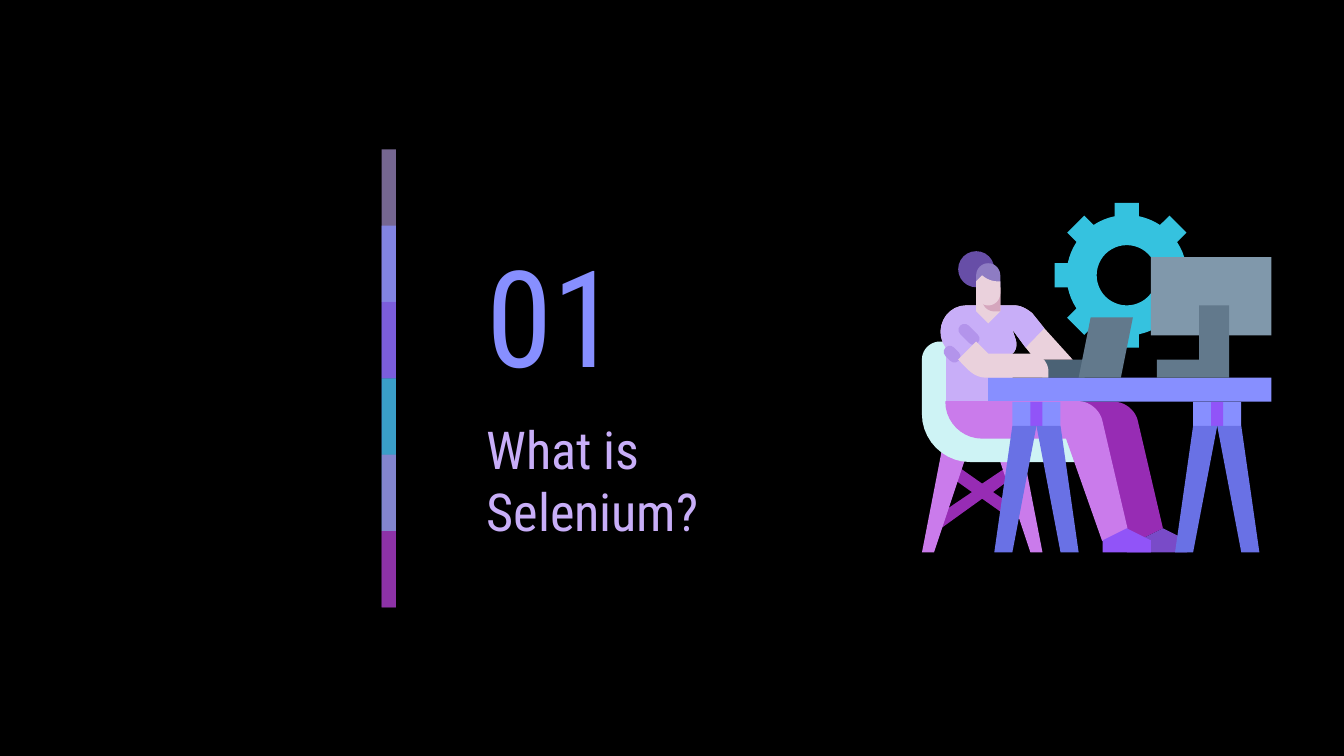
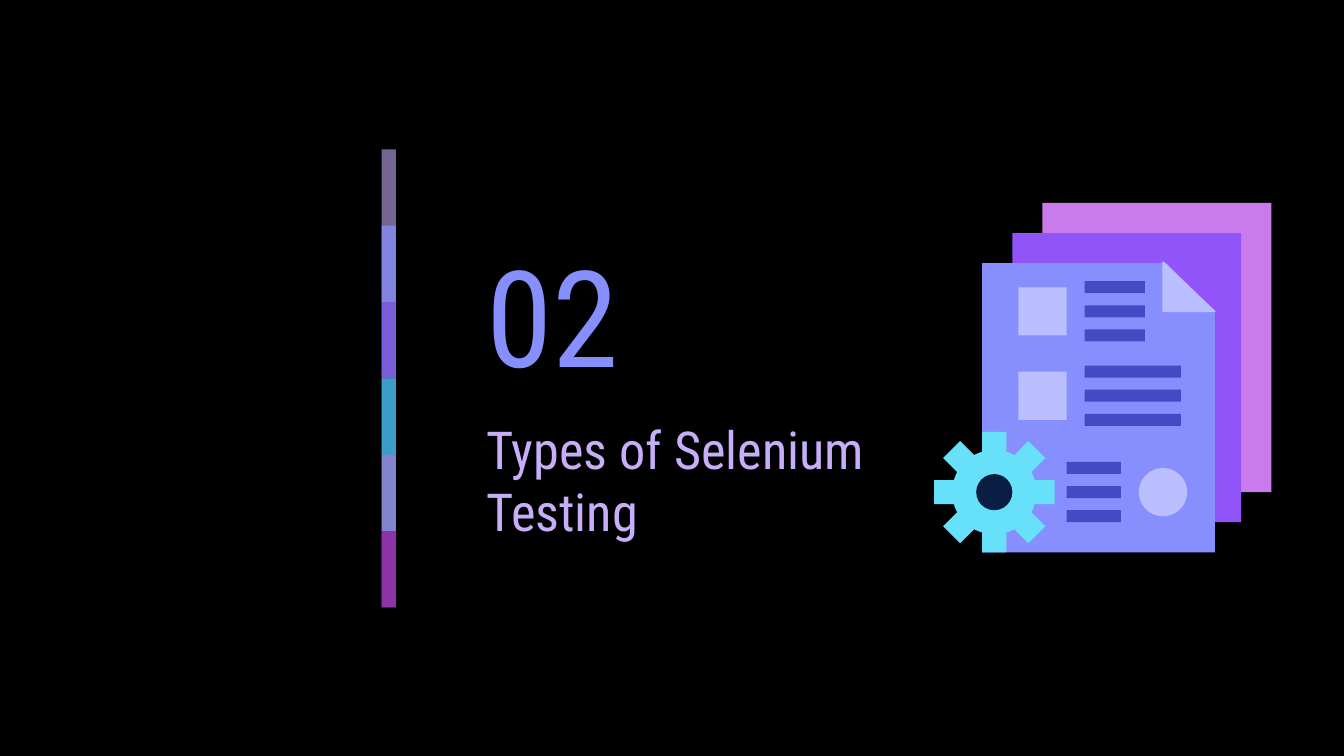
import math

import pptx
import pptx.dml.color
import pptx.enum.shapes
import pptx.enum.text
import pptx.oxml.ns
import pptx.util
from lxml import etree

C = {
    "black": "000000", "navy": "0A1D42", "blue": "878FFF", "pale": "BBBFFF",
    "ink": "424BC4", "leg": "6971E5", "lilac": "C8AEF8", "patch": "B394EB",
    "violet": "9154F8", "shoe": "794BC8", "pink": "CA7BEB", "plum": "972CB4",
    "cyan": "35C2DF", "sky": "67E0F9", "mint": "CEF3F5", "skin": "EAD1DC",
    "chin": "D5A6BD", "hair": "674EA7", "fringe": "8E7CC3",
    "steel": "8098AB", "slate": "62798C", "dark": "4B6275",
}
BANDS = [("lilac", 59), ("blue", 74), ("violet", 53), ("cyan", 76), ("pink", 56), ("plum", 74)]
FRAME = {"word_wrap": True, "auto_size": pptx.enum.text.MSO_AUTO_SIZE.NONE}
MARGINS = {"margin_" + side: pptx.util.Inches(0.1) for side in ("left", "top", "right", "bottom")}
SHAPE = pptx.enum.shapes.MSO_SHAPE
ANCHOR = pptx.enum.text.MSO_ANCHOR


def rgb(name):
    return pptx.dml.color.RGBColor.from_string(C[name])


def assign(target, values):
    for key, value in values.items():
        setattr(target, key, value)


def trace(nodes, steps=10):
    """Nodes: (x, y) line, (corner, end) rounded corner, (control, control, end) curve."""
    pts = []
    for node in nodes:
        end = node[-2:]
        if len(node) > 2:
            a = pts[-1]
            if len(node) == 4:
                b, c = [tuple(p + 0.55 * (q - p) for p, q in zip(v, node)) for v in (a, end)]
            else:
                b, c = node[:2], node[2:4]
            for i in range(1, steps):
                t = i / steps
                u = 1 - t
                pts.append(tuple(u**3 * a[k] + 3 * u * u * t * b[k] + 3 * u * t * t * c[k] + t**3 * end[k]
                                 for k in (0, 1)))
        pts.append(end)
    return pts


def ring(x, y, radius, steps=48):
    turns = [-2 * math.pi * i / steps for i in range(steps)]
    return [(x + radius * math.cos(t), y + radius * math.sin(t)) for t in turns]


def cog(x, y, tip, body, teeth=8):
    pts = []
    half = math.asin(1 / body)
    gap = 2 * math.pi / teeth - 2 * half
    for k in range(teeth):
        a = 2 * math.pi * k / teeth
        cos, sin = math.cos(a), math.sin(a)
        root = math.sqrt(body**2 - 1)
        for r, w in ((root, -1), (tip, -1), (tip, 1), (root, 1)):
            pts.append((x + r * cos - w * sin, y + r * sin + w * cos))
        for i in (0.25, 0.5, 0.75):
            t = a + half + gap * i
            pts.append((x + body * math.cos(t), y + body * math.sin(t)))
    return pts


class Deck:
    font = "Roboto Condensed"

    def __init__(self):
        self.prs = pptx.Presentation()
        self.w = self.prs.slide_width = pptx.util.Inches(10)
        self.h = self.prs.slide_height = self.w * 9 // 16
        self.cell = self.w * 0.26 / 29

    def box(self, x, y, w, h):
        return [round(v * side / 100) for v, side in zip((x, y, w, h), (self.w, self.h) * 2)]

    def grid(self, x, y):
        return round(self.w * 0.686 + x * self.cell), round(self.h * 0.2685 + y * self.cell)

    def section(self, number, heading, width):
        self.s = self.prs.slides.add_slide(self.prs.slide_layouts[5])
        self.s.background.fill.solid()
        self.s.background.fill.fore_color.rgb = rgb("black")
        num = self.s.shapes.add_textbox(0, 0, 0, 0)
        self.text(num, number, (35.2, 29.5, 17.5, 24), 72, "blue", ANCHOR.MIDDLE)
        self.text(self.s.shapes.title, heading, (35.2, 53.35, width, 17.07), 28, "lilac", ANCHOR.TOP)

    def text(self, sp, words, area, size, colour, anchor):
        assign(sp, dict(zip(("left", "top", "width", "height"), self.box(*area))))
        tf = sp.text_frame
        assign(tf, {**FRAME, **MARGINS, "vertical_anchor": anchor})
        p = tf.paragraphs[0]
        p.alignment = pptx.enum.text.PP_ALIGN.LEFT
        r = p.add_run()
        r.text = words
        assign(r.font, {"name": self.font, "size": pptx.util.Pt(size), "bold": False})
        r.font.color.rgb = rgb(colour)

    def group(self):
        self.shapes = self.s.shapes.add_group_shape().shapes

    def paint(self, sp, colour, outline=False):
        sp.shadow.inherit = False
        sp.fill.solid()
        sp.fill.fore_color.rgb = rgb(colour)
        if outline:
            sp.line.color.rgb = rgb(colour)
            sp.line.width = pptx.util.Pt(0.75)
        else:
            sp.line.fill.background()
        return sp

    def block(self, colour, x, y, w, h, kind=SHAPE.RECTANGLE):
        left, top = self.grid(x, y)
        right, bottom = self.grid(x + w, y + h)
        sp = self.shapes.add_shape(kind, left, top, right - left, bottom - top)
        return self.paint(sp, colour)

    def disc(self, colour, x, y, radius):
        self.block(colour, x - radius, y - radius, 2 * radius, 2 * radius, SHAPE.OVAL)

    def pill(self, colour, x, y, length):
        sp = self.block(colour, x - length / 2, y - 0.5, length, 1, SHAPE.ROUNDED_RECTANGLE)
        sp.adjustments[0] = 0.5
        sp.rotation = 45

    def outline(self, colour, *contours, outline=False):
        pen = None
        for nodes in contours:
            pts = [self.grid(*pt) for pt in trace(nodes)]
            if pen is None:
                pen = self.shapes.build_freeform(*pts[0], scale=1.0)
            else:
                pen.move_to(*pts[0])
            pen.add_line_segments(pts[1:], close=True)
        self.paint(pen.convert_to_shape(), colour, outline)

    def bands(self):
        self.group()
        step = 10.1
        for i, (colour, alpha) in enumerate(BANDS):
            rows = 1 if i == len(BANDS) - 1 else 2
            area = self.box(28.4, 19.75 + i * step, 1.05, rows * step)
            sp = self.paint(self.shapes.add_shape(SHAPE.RECTANGLE, *area), colour)
            clr = sp._element.spPr.find(".//" + pptx.oxml.ns.qn("a:srgbClr"))
            etree.SubElement(clr, pptx.oxml.ns.qn("a:alpha"), val=str(alpha * 1000))

    def trouser(self, colour, dx, heel, outline=False):
        self.outline(colour, [
            (2 + dx, 16.5), (2 + dx, 19.5, 5 + dx, 19.5), (12 + dx, 19.5), (heel, 28), (15 + dx, 28),
            (17 + dx, 27), (14.9 + dx, 18), (14.5 + dx, 16.5, 13 + dx, 16.5)], outline=outline)

    def trestle(self, x):
        self.block("blue", x, 16.5, 4, 2)
        self.block("violet", x + 1.5, 16.5, 1, 2)
        leg = [(0, 18.5), (-1.5, 29), (0, 29), (2, 18.5)]
        self.outline("leg", [(x + dx, y) for dx, y in leg])
        self.outline("leg", [(x + 4 - dx, y) for dx, y in leg])

    def worker(self):
        self.group()
        self.outline("cyan", cog(17, 6, 6, 5), ring(17, 6, 2.5))
        self.block("dark", 10, 13, 3.5, 1.5)
        self.outline("plum", [
            (2.8, 21.75), (2.25, 22.65), (4.15, 24), (0.9, 26.2), (1.45, 27.1), (5, 24.55),
            (6.9, 25.9), (7.5, 25.1), (5.9, 24), (7.7, 22.65), (7.15, 21.85), (5, 23.3)])
        chair_leg = [(6, 20), (9, 29), (10, 29), (8.25, 20)]
        self.outline("pink", chair_leg)
        self.outline("pink", [(10 - x, y) for x, y in chair_leg])
        self.outline("mint", [
            (1.5, 11.5), (0, 11.5, 0, 13), (0, 17.5), (0, 21.5, 4, 21.5), (13.5, 21.5), (13.5, 19),
            (5, 19), (2.5, 19, 2.5, 16.5), (2.5, 11.5)])
        self.trouser("plum", 3, 17)
        self.outline("shoe", [(20, 27), (18, 28), (17, 28), (17, 29), (22, 29), (22, 28)])
        for colour, forearm in (("skin", [(9.4, 13), (12.5, 13)]), ("lilac", [])):
            self.outline(colour, [
                (3.7, 8.5), (1.9, 8.5, 0.9, 10.6, 2, 12.05), (2, 16.5), (7.5, 16.5), (7.5, 12.5),
                (7.8, 12.3, 7.9, 11.85, 7.8, 11.4), (7.5, 10.5), (8.6, 12), *forearm,
                (10.15, 10.4), (9.15, 9.15), (8.7, 8.8, 8.25, 8.5, 7.6, 8.5)])
        self.block("blue", 5.5, 14.5, 23.5, 2)
        self.pill("patch", 2.5, 12.55, 1.55)
        self.pill("patch", 3.9, 10.9, 2.05)
        self.outline("skin", [(4.5, 7), (4.5, 9), (5.5, 10), (6.5, 9), (6.5, 7)])
        self.outline("skin", [
            (4.5, 11.5), (3, 13), (3.9, 13.9), (4.35, 14.3, 4.8, 14.5, 5.35, 14.5), (10.5, 14.5),
            (10.5, 14), (10.5, 12.5, 9, 12.5), (5.5, 12.5)])
        self.outline("slate", [(14, 9.5), (13, 14.5), (16.5, 14.5), (17.5, 9.5)])
        self.trouser("pink", 0, 15, True)
        self.outline("violet", [(17, 27), (15, 28), (15, 29), (19, 29), (19, 28)])
        self.block("steel", 19, 4.5, 10, 6.5)
        self.outline("slate", [
            (23, 8.5), (23, 13), (19.5, 13), (19.5, 14.5), (25.5, 14.5), (25.5, 8.5)])
        self.trestle(22.5)
        self.trestle(7.5)
        self.outline("chin", [(5, 7), (5, 8), (5, 9, 6, 9), (6.5, 9), (6.5, 7)])
        self.disc("hair", 4.5, 5.5, 1.5)
        self.outline("fringe", [
            (5.5, 5), (4.5, 5, 4.5, 6), (4.5, 7), (6.5, 7), (6.5, 6), (6.5, 5, 5.5, 5)])
        self.outline("skin", [
            (5, 6), (4.5, 6.5), (4.5, 7.5), (4.5, 8.5, 5.5, 8.5), (6.5, 8.5, 6.5, 7.5), (6.5, 6.5),
            (6.2, 6.5), (5.5, 6.5, 5, 6)])

    def documents(self):
        self.group()
        self.block("pink", 10, 0, 19, 24)
        self.block("violet", 7.5, 2.5, 19, 24)
        self.outline("blue", [(5, 5), (5, 29), (24.3, 29), (24.3, 9.1), (20.3, 5)])
        self.outline("sky", cog(6, 24, 5, 3.5))
        self.disc("navy", 6, 24, 1.5)
        for y in (7, 14):
            self.block("pale", 8, y, 4, 4)
        self.disc("pale", 20, 24, 2)
        for x, y, w in ((13.5, 6.5, 5), (13.5, 13.5, 8), (12, 21.5, 4.5)):
            for row in range(3):
                self.block("ink", x, y + 2 * row, w, 1)
        self.outline("pale", [(20, 4.9), (20, 9), (24.3, 9)], outline=True)


def main():
    deck = Deck()
    for number, heading, width, art in (
            ("01", "What is Selenium?", 28.7, deck.worker),
            ("02", "Types of Selenium Testing", 32.7, deck.documents)):
        deck.section(number, heading, width)
        art()
        deck.bands()
    deck.prs.save("out.pptx")


if __name__ == "__main__":
    main()
